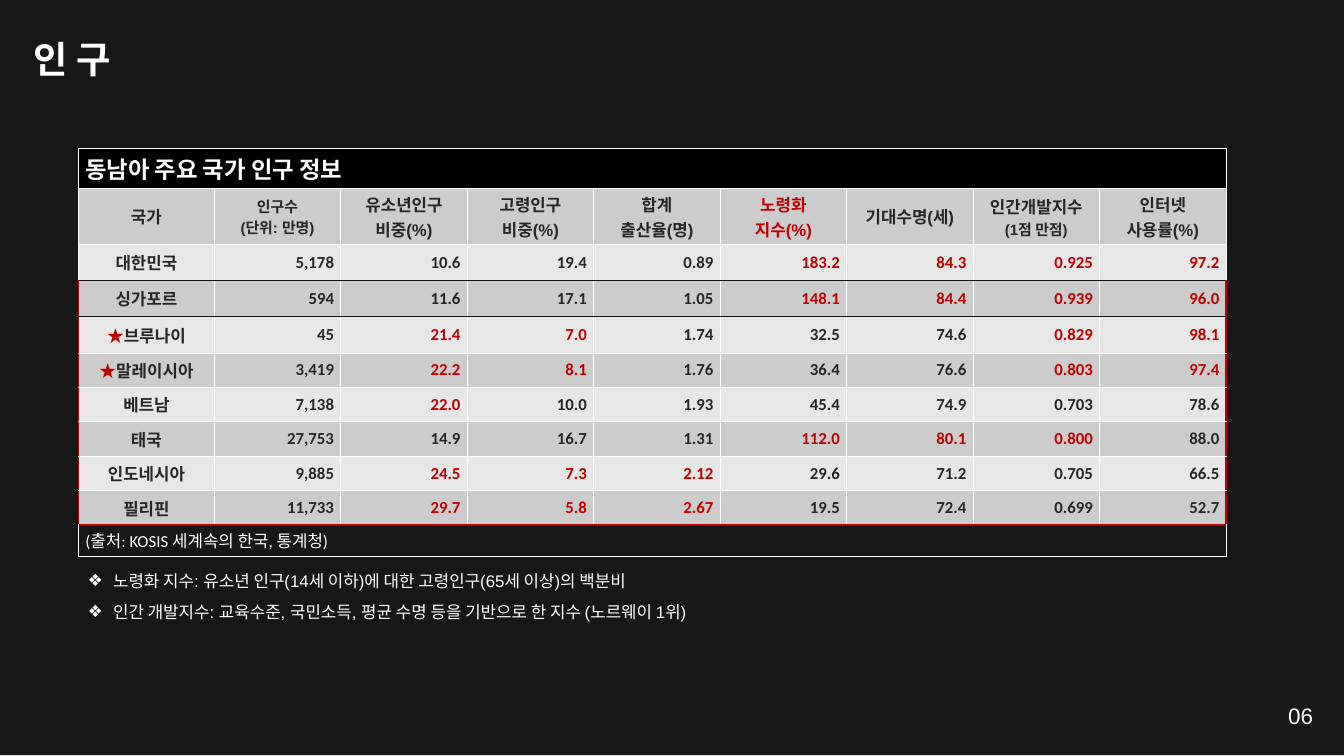
"""Build the Southeast Asia population slide with its country table."""
from lxml.etree import SubElement
from pptx import Presentation
from pptx.dml.color import RGBColor
from pptx.enum.shapes import MSO_SHAPE
from pptx.enum.text import MSO_ANCHOR as ANC, MSO_AUTO_SIZE as AUTO, PP_ALIGN as AL
from pptx.oxml.ns import qn
from pptx.util import Cm, Pt

WHITE, BLACK, DARK, RED, INK = "FFFFFF", "000000", "171717", "C00000", "262626"
BANDS = ["E7E7E7", "CCCCCC"]


def add_run(p, text, size, color, font="Arial", bold=False):
    r = p.add_run()
    r.text = text
    r.font.size = Pt(size)
    r.font.name = font
    r.font.bold = bold
    r.font.color.rgb = RGBColor.from_string(color)


def style_cell(cell, fill, edges):
    cell.vertical_anchor = ANC.MIDDLE
    tcPr = cell._tc.get_or_add_tcPr()
    for side, (color, width) in zip("LRTB", edges):
        ln = SubElement(tcPr, qn(f"a:ln{side}"), w=str(Pt(width)))
        SubElement(SubElement(ln, qn("a:solidFill")), qn("a:srgbClr"), val=color)
    if fill:
        cell.fill.solid()
        cell.fill.fore_color.rgb = RGBColor.from_string(fill)
    else:
        cell.fill.background()


prs = Presentation()
prs.slide_width, prs.slide_height = Cm(50.8), Cm(28.58)
slide = prs.slides.add_slide(prs.slide_layouts[1])
shapes = slide.shapes

sp = shapes.add_shape(MSO_SHAPE.RECTANGLE, 0, Cm(-0.03), Cm(50.8), Cm(28.58))
sp.shadow.inherit = False
sp.fill.solid()
sp.fill.fore_color.rgb = RGBColor.from_string(DARK)
sp.line.fill.background()
shapes._spTree.insert(2, sp._element)

number = shapes.add_textbox(Cm(48.69), Cm(26.37), Cm(1.17), Cm(1.17))
title, body = shapes.title, slide.placeholders[1]
title.left, title.top, title.width, title.height = Cm(1.27), Cm(0.3), Cm(10.6), Cm(2.49)
body.left, body.top, body.width, body.height = Cm(3.07), Cm(21.08), Cm(41.7), Cm(2.24)

for sp, text, size, spacing, bold in [
    (number, "06", 24, 33.6, False),
    (title, "인 구", 40, 78.4, True),
]:
    tf = sp.text_frame
    tf.margin_left = tf.margin_right = tf.margin_top = tf.margin_bottom = 0
    tf.word_wrap = True
    tf.auto_size = AUTO.NONE
    tf.vertical_anchor = ANC.TOP
    p = tf.paragraphs[0]
    p.alignment = AL.LEFT
    p.line_spacing = Pt(spacing)
    add_run(p, text, size, WHITE, bold=bold)

notes = [
    "노령화 지수: 유소년 인구(14세 이하)에 대한 고령인구(65세 이상)의 백분비",
    "인간 개발지수: 교육수준, 국민소득, 평균 수명 등을 기반으로 한 지수 (노르웨이 1위)",
]
tf = body.text_frame
tf.auto_size = AUTO.NONE
for i, text in enumerate(notes):
    p = tf.add_paragraph() if i else tf.paragraphs[0]
    p.line_spacing = 1.5
    p.space_before = Pt(0)
    pPr = p._p.get_or_add_pPr()
    pPr.set("marL", str(Cm(0.95)))
    pPr.set("indent", str(Cm(-0.95)))
    SubElement(pPr, qn("a:buChar"), char="❖")
    add_run(p, text, 18, WHITE)

headers = [
    [("국가", 18)],
    [("인구수", 16), ("(단위: 만명)", 16)],
    [("유소년인구", 18), ("비중(%)", 18)],
    [("고령인구", 18), ("비중(%)", 18)],
    [("합계", 18), ("출산율(명)", 18)],
    [("노령화", 18), ("지수(%)", 18)],
    [("기대수명(세)", 18)],
    [("인간개발지수", 18), ("(1점 만점)", 16)],
    [("인터넷", 18), ("사용률(%)", 18)],
]
countries = [
    ("대한민국", "5,178", "10.6", "19.4", "0.89", "183.2", "84.3", "0.925", "97.2"),
    ("싱가포르", "594", "11.6", "17.1", "1.05", "148.1", "84.4", "0.939", "96.0"),
    ("★브루나이", "45", "21.4", "7.0", "1.74", "32.5", "74.6", "0.829", "98.1"),
    ("★말레이시아", "3,419", "22.2", "8.1", "1.76", "36.4", "76.6", "0.803", "97.4"),
    ("베트남", "7,138", "22.0", "10.0", "1.93", "45.4", "74.9", "0.703", "78.6"),
    ("태국", "27,753", "14.9", "16.7", "1.31", "112.0", "80.1", "0.800", "88.0"),
    ("인도네시아", "9,885", "24.5", "7.3", "2.12", "29.6", "71.2", "0.705", "66.5"),
    ("필리핀", "11,733", "29.7", "5.8", "2.67", "19.5", "72.4", "0.699", "52.7"),
]
lowest_red = {2: 20, 4: 2, 5: 100, 6: 80, 7: 0.8, 8: 90}
highest_red = {3: 9.9}
col_widths = [5.13] + [4.78] * 8
row_heights = [1.42, 1.93] + [1.37] * 3 + [1.3] * 5 + [1.19]
last_row, last_col = len(row_heights) - 1, len(col_widths) - 1

tbl = shapes.add_table(len(row_heights), len(col_widths), Cm(2.97), Cm(5.61),
                       Cm(sum(col_widths)), Cm(sum(row_heights))).table
tbl.first_row = tbl.horz_banding = False
for col, width in zip(tbl.columns, col_widths):
    col.width = Cm(width)
for row, height in zip(tbl.rows, row_heights):
    row.height = Cm(height)

thin, thick, dark = (WHITE, 1), (RED, 2.25), (DARK, 1)
row_lines = [thin] * 3 + [dark] * 2 + [thin] * 5 + [thick, thin]
for y in range(last_row + 1):
    framed = 3 <= y < last_row
    fill = BLACK if y == 0 else None if y == last_row else BANDS[y % 2]
    if y == 1:
        fill = BANDS[1]
    elif 1 < y < last_row:
        fill = BANDS[y % 2]
    for x in range(last_col + 1):
        left = thick if framed and x == 0 else thin
        right = thick if framed and x == last_col else thin
        style_cell(tbl.cell(y, x), fill, [left, right, row_lines[y], row_lines[y + 1]])

for y, text, size, bold in [
    (0, "동남아 주요 국가 인구 정보", 25, True),
    (last_row, "(출처: KOSIS 세계속의 한국, 통계청)", 18, False),
]:
    tbl.cell(y, 0).merge(tbl.cell(y, last_col))
    add_run(tbl.cell(y, 0).text_frame.paragraphs[0], text, size, WHITE, "Calibri", bold)

for x, lines in enumerate(headers):
    tf = tbl.cell(1, x).text_frame
    for i, (text, size) in enumerate(lines):
        p = tf.add_paragraph() if i else tf.paragraphs[0]
        p.alignment = AL.CENTER
        add_run(p, text, size, RED if x == 5 else INK, "Arial" if x else "Calibri", True)

for y, values in enumerate(countries, 2):
    for x, text in enumerate(values):
        p = tbl.cell(y, x).text_frame.paragraphs[0]
        p.alignment = AL.RIGHT if x else AL.CENTER
        color = INK
        if x in lowest_red and float(text) >= lowest_red[x]:
            color = RED
        if x in highest_red and float(text) <= highest_red[x]:
            color = RED
        if text.startswith("★"):
            add_run(p, "★", 18, RED, "Noto Sans CJK KR", True)
        add_run(p, text.lstrip("★"), 18, color, "Calibri", True)

prs.save("out.pptx")
